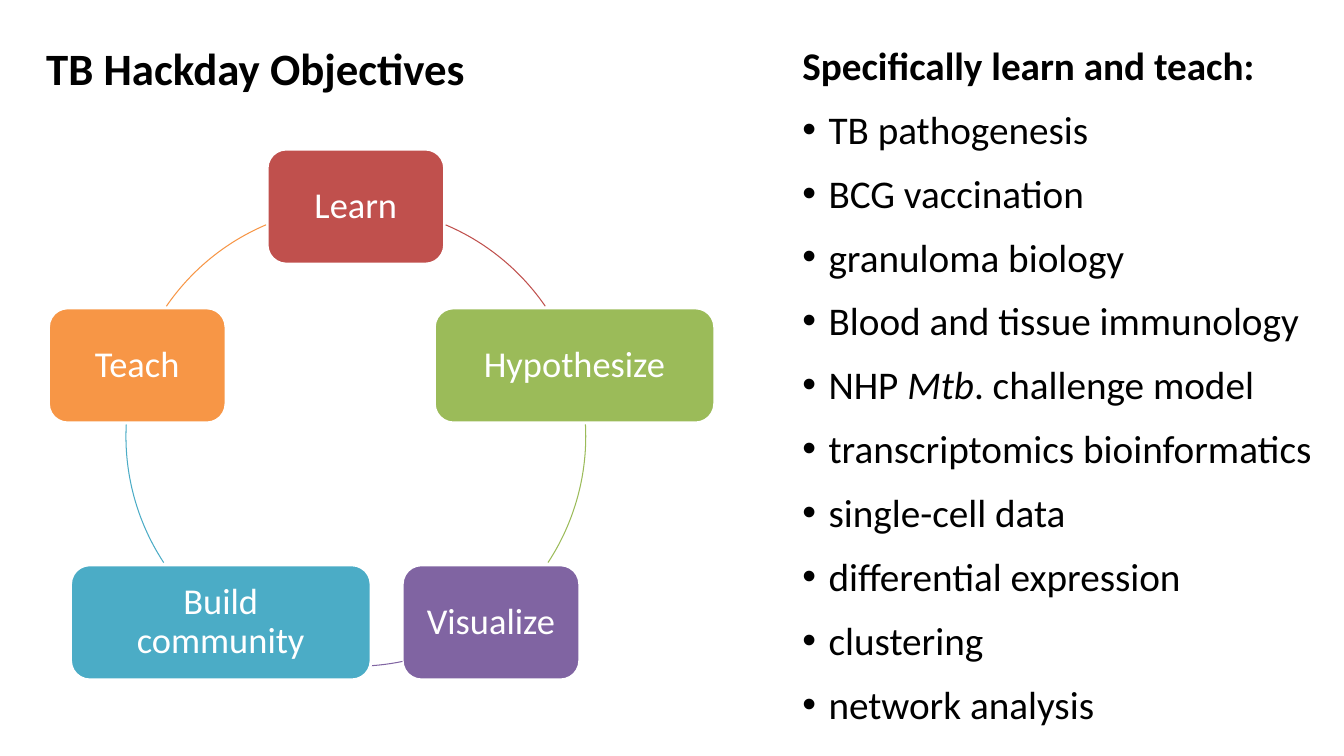
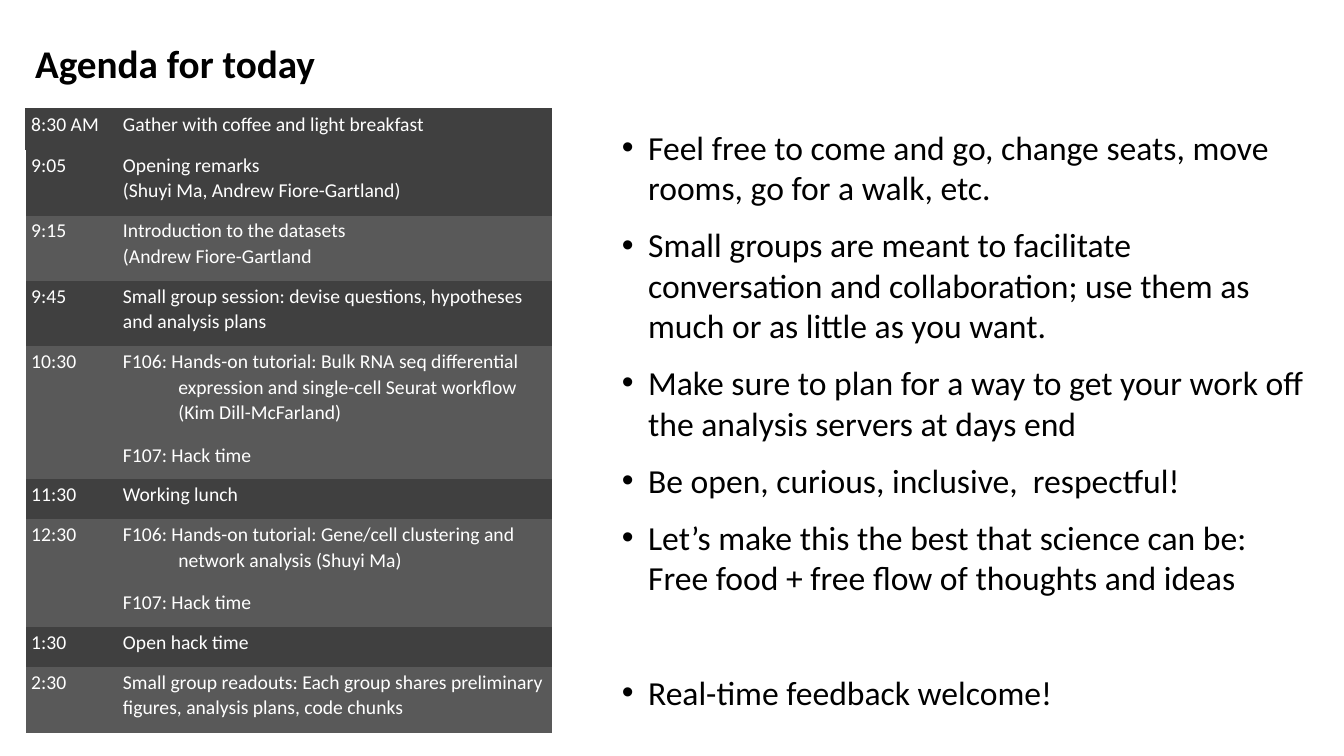
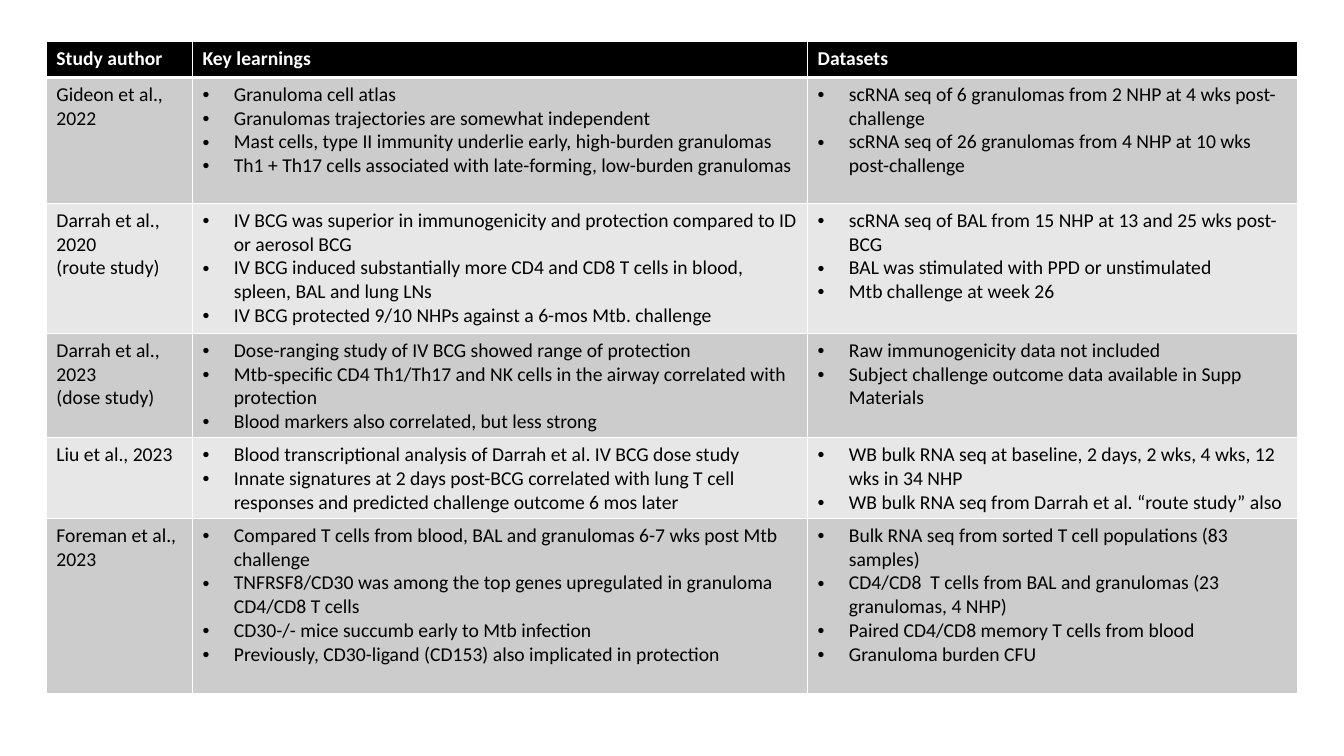
import copy
import math
import pptx
import pptx.util
import pptx.dml.color
import pptx.enum.shapes
import pptx.enum.text
import pptx.oxml.ns
from lxml import etree

Inches = pptx.util.Inches
Pt = pptx.util.Pt
RGB = pptx.dml.color.RGBColor.from_string
qn = pptx.oxml.ns.qn
Kind = pptx.enum.shapes.MSO_SHAPE
Align = pptx.enum.text.PP_ALIGN
Anchor = pptx.enum.text.MSO_ANCHOR

HUES = {
    "black": "000000", "white": "FFFFFF", "red": "C0504D", "green": "9BBB59",
    "purple": "8064A2", "blue": "4BACC6", "orange": "F79646", "dark": "404040",
    "slate": "595959", "gray": "CCCCCC", "pale": "E7E7E7",
}
PLAIN = "{2D5ABB26-0587-4C30-8999-92F81FD0307C}"


def text(frame, lines, size=14, hue="black", bold=False, bullet=False, hang=0,
         gap=0, above=None, space=None, align=None):
    frame.word_wrap = True
    for n, line in enumerate(lines):
        par = frame.paragraphs[0] if n == 0 else frame.add_paragraph()
        line, own = line if isinstance(line, tuple) else (line, {})
        heavy = own.get("bold", bold)
        dot = own.get("bullet", bullet)
        inset = own.get("hang", hang)
        props = par._p.get_or_add_pPr()
        if inset:
            props.set("marL", str(Inches(inset)))
            props.set("indent", str(-Inches(inset)))
        if dot:
            etree.SubElement(props, qn("a:buFont"), typeface="Arial")
            etree.SubElement(props, qn("a:buChar"), char="•")
        if align:
            par.alignment = align
        if space:
            par.line_spacing = space
        par.space_before = Pt(own.get("above", gap) if n else 0)
        par.space_after = Pt(gap)
        for k, part in enumerate(line.split("_")):
            for j, piece in enumerate(part.split("\n")):
                if j:
                    par.add_line_break()
                run = par.add_run()
                run.text = piece
                font = run.font
                font.name, font.size, font.bold = "Calibri", Pt(size), heavy
                font.italic = k % 2 == 1
                font.color.rgb = RGB(HUES[hue])
        for brk in par._p.findall(qn("a:br")):
            brk.append(copy.deepcopy(par.runs[0].font._rPr))


def edge(cell, sides):
    props = cell._tc.get_or_add_tcPr()
    for n, side in enumerate(s for s in "LRTB" if s in sides):
        line = etree.Element(qn("a:ln" + side), w=str(Pt(sides[side])))
        fill = etree.SubElement(line, qn("a:solidFill"))
        etree.SubElement(fill, qn("a:srgbClr"), val=HUES["white"])
        props.insert(n, line)


deck = pptx.Presentation()
deck.slide_width, deck.slide_height = Inches(13.33), Inches(7.5)
goals, agenda, papers = [deck.slides.add_slide(deck.slide_layouts[6]) for _ in range(3)]

TITLE = {"bold": True}
LIST = {"bullet": True, "hang": 0.26, "gap": 6}
boxes = [
    (goals, (0.36, 0.36, 8.61, 0.64), ["TB Hackday Objectives"], {"size": 32, **TITLE}),
    (goals, (7.86, 0.36, 5.34, 6.97), [
        ("Specifically learn and teach:", {"bold": True, "bullet": False, "hang": 0}),
        "TB pathogenesis",
        "BCG vaccination",
        "granuloma biology",
        "Blood and tissue immunology",
        "NHP _Mtb_. challenge model",
        "transcriptomics bioinformatics",
        "single-cell data",
        "differential expression",
        "clustering",
        "network analysis",
    ], {"size": 28, **LIST}),
    (agenda, (0.25, 0.34, 8.61, 0.57), ["Agenda for today"], {"size": 28, **TITLE}),
    (agenda, (6.07, 1.21, 7.01, 5.96), [
        "Feel free to come and go, change seats, move rooms, go for a walk, etc.",
        "Small groups are meant to facilitate conversation and collaboration; "
        "use them as much or as little as you want.",
        "Make sure to plan for a way to get your work off the analysis servers at days end",
        "Be open, curious, inclusive,  respectful!",
        "Let’s make this the best that science can be:\n"
        "Free food + free flow of thoughts and ideas",
        ("Real-time feedback welcome!", {"above": 47}),
    ], {"size": 24, **LIST}),
]
for slide, place, lines, form in boxes:
    box = slide.shapes.add_textbox(*map(Inches, place))
    text(box.text_frame, lines, **form)
    box.text_frame.auto_size = pptx.enum.text.MSO_AUTO_SIZE.SHAPE_TO_FIT_TEXT

MID_X, MID_Y, RADIUS, TALL = 3.53, 4.33, 2.28, 1.14
steps = [
    ("Learn", "red", 1.76, 293, 325.5),
    ("Hypothesize", "green", 2.78, 357, 33.3),
    ("Visualize", "purple", 1.76, 78.3, 86.2),
    ("Build\ncommunity", "blue", 2.98, 146.7, 183),
    ("Teach", "orange", 1.76, 214.5, 247),
]
for n, (label, hue, wide, start, end) in enumerate(steps):
    turn = math.radians(72 * n)
    x = MID_X + RADIUS * math.sin(turn)
    y = MID_Y - RADIUS * math.cos(turn)
    node = goals.shapes.add_shape(
        Kind.ROUNDED_RECTANGLE, Inches(x - wide / 2), Inches(y - TALL / 2),
        Inches(wide), Inches(TALL))
    node.shadow.inherit = False
    node.fill.solid()
    node.fill.fore_color.rgb = RGB(HUES[hue])
    node.line.color.rgb = RGB(HUES["white"])
    node.line.width = Pt(2)
    frame = node.text_frame
    frame.margin_left = frame.margin_right = Inches(0.17)
    frame.margin_top = frame.margin_bottom = Inches(0.16)
    frame.vertical_anchor = Anchor.MIDDLE
    text(frame, [label], size=26, hue="white", space=0.9, align=Align.CENTER)

    arc = goals.shapes.add_shape(
        Kind.ARC, Inches(MID_X - RADIUS), Inches(MID_Y - RADIUS),
        Inches(2 * RADIUS), Inches(2 * RADIUS))
    arc.shadow.inherit = False
    arc.adjustments[0], arc.adjustments[1] = start * 0.6, end * 0.6
    arc.fill.background()
    arc.line.color.rgb = RGB(HUES[hue])
    arc.line.width = Pt(0.75)

HANG = {"hang": 0.55}
plan = [
    (0.42, "dark", "8:30 AM", ["Gather with coffee and light breakfast"]),
    (0.55, "dark", "9:05", ["Opening remarks\n(Shuyi Ma, Andrew Fiore-Gartland)"]),
    (0.55, "slate", "9:15", ["Introduction to the datasets\n(Andrew Fiore-Gartland"]),
    (0.55, "dark", "9:45", [
        "Small group session: devise questions, hypotheses and analysis plans"]),
    (1.06, "slate", "10:30", [
        ("F106: Hands-on tutorial: Bulk RNA seq differential expression and "
         "single-cell Seurat workflow\n(Kim Dill-McFarland)", HANG),
        "F107: Hack time"]),
    (0.36, "dark", "11:30", ["Working lunch"]),
    (0.88, "slate", "12:30", [
        ("F106: Hands-on tutorial: Gene/cell clustering and network analysis (Shuyi Ma)", HANG),
        ("F107: Hack time", HANG)]),
    (0.36, "dark", "1:30", ["Open hack time"]),
    (0.55, "slate", "2:30", [
        "Small group readouts: Each group shares preliminary figures, "
        "analysis plans, code chunks"]),
]
studies = [
    (0.36, "black", "Study author", ["Key learnings"], ["Datasets"]),
    (1.25, "gray", "Gideon et al., 2022", [
        "Granuloma cell atlas",
        "Granulomas trajectories are somewhat independent",
        "Mast cells, type II immunity underlie early, high-burden granulomas",
        "Th1 + Th17 cells associated with late-forming, low-burden granulomas",
    ], [
        "scRNA seq of 6 granulomas from 2 NHP at 4 wks post-challenge",
        "scRNA seq of 26 granulomas from 4 NHP at 10 wks post-challenge",
    ]),
    (1.29, "pale", "Darrah et al., 2020\n(route study)", [
        "IV BCG was superior in immunogenicity and protection compared to ID or aerosol BCG",
        "IV BCG induced substantially more CD4 and CD8 T cells in blood, "
        "spleen, BAL and lung LNs",
        "IV BCG protected 9/10 NHPs against a 6-mos Mtb. challenge",
    ], [
        "scRNA seq of BAL from 15 NHP at 13 and 25 wks post-BCG",
        "BAL was stimulated with PPD or unstimulated",
        "Mtb challenge at week 26",
    ]),
    (1.01, "gray", "Darrah et al., 2023\n(dose study)", [
        "Dose-ranging study of IV BCG showed range of protection",
        "Mtb-specific CD4 Th1/Th17 and NK cells in the airway correlated with protection",
        "Blood markers also correlated, but less strong",
    ], [
        "Raw immunogenicity data not included",
        "Subject challenge outcome data available in Supp Materials",
    ]),
    (0.79, "pale", "Liu et al., 2023", [
        "Blood transcriptional analysis of Darrah et al. IV BCG dose study",
        "Innate signatures at 2 days post-BCG correlated with lung T cell "
        "responses and predicted challenge outcome 6 mos later",
    ], [
        "WB bulk RNA seq at baseline, 2 days, 2 wks, 4 wks, 12 wks in 34 NHP",
        "WB bulk RNA seq from Darrah et al. “route study” also",
    ]),
    (1.74, "gray", "Foreman et al., 2023", [
        "Compared T cells from blood, BAL and granulomas 6-7 wks post Mtb challenge",
        "TNFRSF8/CD30 was among the top genes upregulated in granuloma CD4/CD8 T cells",
        "CD30-/- mice succumb early to Mtb infection",
        "Previously, CD30-ligand (CD153) also implicated in protection",
    ], [
        "Bulk RNA seq from sorted T cell populations (83 samples)",
        "CD4/CD8  T cells from BAL and granulomas (23 granulomas, 4 NHP)",
        "Paired CD4/CD8 memory T cells from blood",
        "Granuloma burden CFU",
    ]),
]
tables = [
    (agenda, 0.25, 1.07, [0.91, 4.32], plan),
    (papers, 0.46, 0.41, [1.45, 6.1, 4.86], studies),
]
for slide, left, top, cols, rows in tables:
    table = slide.shapes.add_table(
        len(rows), len(cols), Inches(left), Inches(top), Inches(sum(cols)),
        Inches(sum(row[0] for row in rows))).table
    table._tbl.tblPr.find(qn("a:tableStyleId")).text = PLAIN
    for c, wide in enumerate(cols):
        table.columns[c].width = Inches(wide)
    for r, (tall, hue, label, *rest) in enumerate(rows):
        table.rows[r].height = Inches(tall)
        for c, lines in enumerate([[label], *rest]):
            cell = table.cell(r, c)
            cell.fill.solid()
            cell.fill.fore_color.rgb = RGB(HUES[hue])
            if slide is agenda:
                cell.margin_left = cell.margin_right = Inches(0.06)
                cell.margin_top, cell.margin_bottom = Inches(0.02), Inches(0.13)
                cell.vertical_anchor = Anchor.TOP if r else Anchor.BOTTOM
                text(cell.text_frame, lines, hue="white", gap=6, space=1.07)
                if r and c == 0:
                    edge(cell, {"L": 1})
            else:
                listed = r > 0 and c > 0
                text(cell.text_frame, lines, hue="black" if r else "white",
                     bold=r == 0, bullet=listed, hang=0.31 if listed else 0)
                edge(cell, {"L": 1, "R": 1, "T": 3 if r == 1 else 1, "B": 1 if r else 3})

deck.save("out.pptx")
